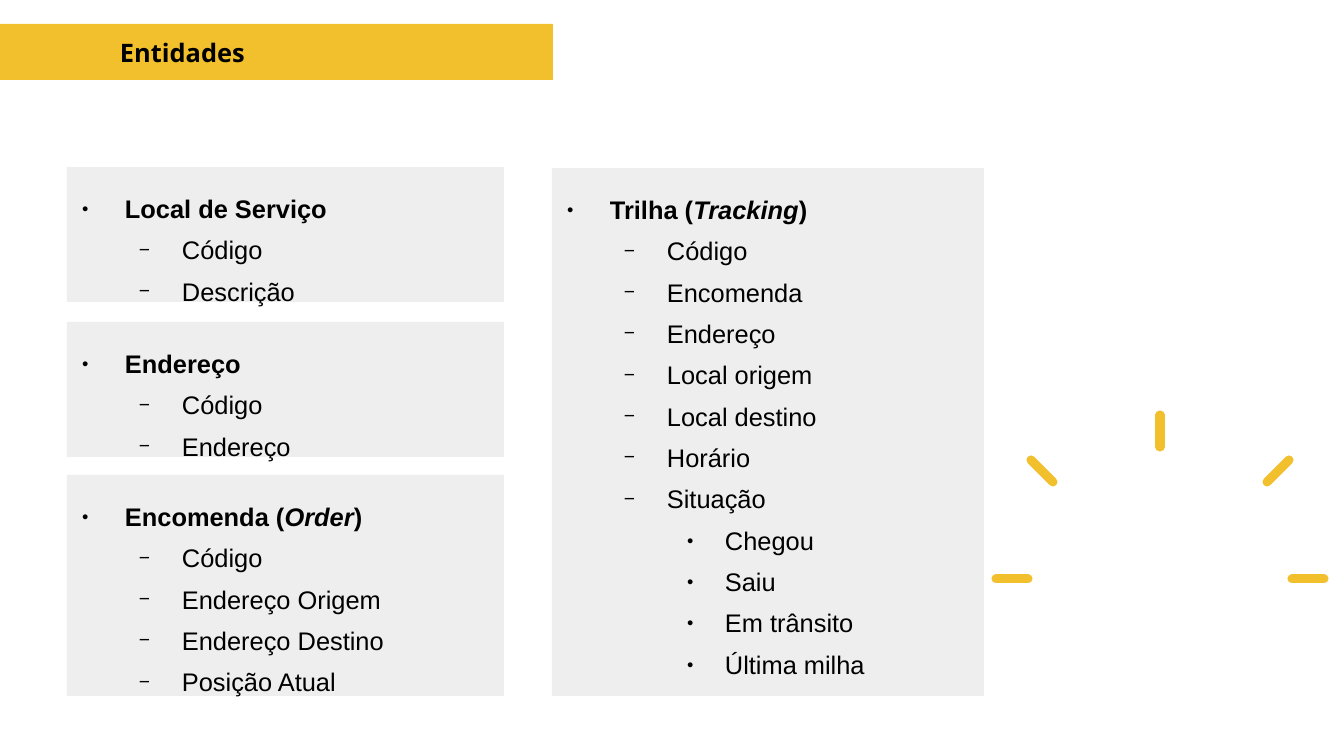
from pptx import Presentation
from pptx.dml.color import RGBColor as Rgb
from pptx.enum.shapes import MSO_CONNECTOR as Line, MSO_SHAPE as Shape
from pptx.enum.text import MSO_ANCHOR as Anchor, PP_ALIGN as Align
from pptx.oxml.ns import qn
from pptx.util import Emu, Pt
from lxml.etree import SubElement as Sub

SCALE = 7495  # EMU in one px
COLORS = {"gold": "F2C02C", "gray": "EEEEEE", "text": "000000"}

# Each level: left margin px, hanging indent px, bullet, bullet size in percent
LEVELS = [(58, 43, "●", 45), (115, 43, "−", 75), (173, 38, "●", 45)]

# Each card: left, top, width, height, then (level, text); *...* is italic
CARDS = [
    (67, 167, 437, 135, [(0, "Local de Serviço"), (1, "Código"),
                         (1, "Descrição")]),
    (552, 168, 432, 528, [(0, "Trilha (*Tracking*)"), (1, "Código"),
                          (1, "Encomenda"), (1, "Endereço"),
                          (1, "Local origem"), (1, "Local destino"),
                          (1, "Horário"), (1, "Situação"), (2, "Chegou"),
                          (2, "Saiu"), (2, "Em trânsito"),
                          (2, "Última milha")]),
    (67, 475, 437, 221, [(0, "Encomenda (*Order*)"), (1, "Código"),
                         (1, "Endereço Origem"), (1, "Endereço Destino"),
                         (1, "Posição Atual")]),
    (67, 322, 437, 135, [(0, "Endereço"), (1, "Código"), (1, "Endereço")]),
]

# Rays: start and end, as x offset from the middle of the sun and y
SUN = 1160
RAYS = [(0, 415, 0, 447)] + [
    (side * x1, y1, side * x2, y2)
    for x1, y1, x2, y2 in [(129, 460, 107, 482), (164, 579, 132, 579)]
    for side in (1, -1)
]


def px(*nums):
    return [Emu(num * SCALE) for num in nums]


def color(name):
    return Rgb.from_string(COLORS[name])


def style(run, face, bold, slant=False):
    font = run.font
    font.name, font.size = face, Pt(15)
    font.bold, font.italic = bold, slant
    font.color.rgb = color("text")


def inset(frame, top=0):
    frame.margin_left = frame.margin_right = frame.margin_bottom = 0
    frame.margin_top = Emu(top * SCALE)
    frame.word_wrap = True


def add_box(slide, box, fill):
    shape = slide.shapes.add_shape(Shape.RECTANGLE, *px(*box))
    shape.shadow.inherit = False
    shape.fill.solid()
    shape.fill.fore_color.rgb = color(fill)
    shape.line.fill.background()
    return shape


def add_ray(slide, x1, y1, x2, y2):
    ray = slide.shapes.add_connector(
        Line.STRAIGHT, *px(SUN + x1, y1, SUN + x2, y2))
    ray.line.color.rgb = color("gold")
    ray.line.width = Pt(5.36)
    ray.line._get_or_add_ln().set("cap", "rnd")
    Sub(ray.element.spPr, qn("a:effectLst"))


def set_bullet(para, level):
    left, hang, mark, size = LEVELS[level]
    para.level = level
    props = para._p.get_or_add_pPr()
    props.set("marL", str(left * SCALE))
    props.set("indent", str(-hang * SCALE))
    tint = Sub(props, qn("a:buClr"))
    Sub(tint, qn("a:srgbClr"), val=COLORS["text"])
    Sub(props, qn("a:buSzPct"), val=str(size * 1000))
    Sub(props, qn("a:buFont"), typeface="Arial")
    Sub(props, qn("a:buChar"), char=mark)


def add_card(slide, left, top, width, height, items):
    frame = add_box(slide, (left, top, width, height), "gray").text_frame
    inset(frame, 26)
    frame.vertical_anchor = Anchor.TOP
    for row, (level, text) in enumerate(items):
        para = frame.add_paragraph() if row else frame.paragraphs[0]
        para.alignment = Align.LEFT
        para.space_before = Pt(6.4 if row else 0)
        set_bullet(para, level)
        for part, words in enumerate(text.split("*")):
            run = para.add_run()
            run.text = words
            style(run, "Arial", level == 0, part % 2 == 1)


def set_title(slide, text):
    title = slide.shapes.title
    title.left, title.top, title.width, title.height = px(120, 27, 432, 50)
    frame = title.text_frame
    frame.text = text
    inset(frame)
    frame.vertical_anchor = Anchor.MIDDLE
    para = frame.paragraphs[0]
    para.alignment = Align.LEFT
    style(para.runs[0], "Noto Sans", True)
    # Bring the title in front of the banner
    title.element.getparent().append(title.element)


def main():
    deck = Presentation()
    deck.slide_width, deck.slide_height = px(1344, 756)
    slide = deck.slides.add_slide(deck.slide_layouts[5])

    # Banner, rays and title
    add_box(slide, (0, 24, 553, 56), "gold")
    for ray in RAYS:
        add_ray(slide, *ray)
    set_title(slide, "Entidades")

    # Entity cards
    for card in CARDS:
        add_card(slide, *card)

    deck.save("out.pptx")


if __name__ == "__main__":
    main()
